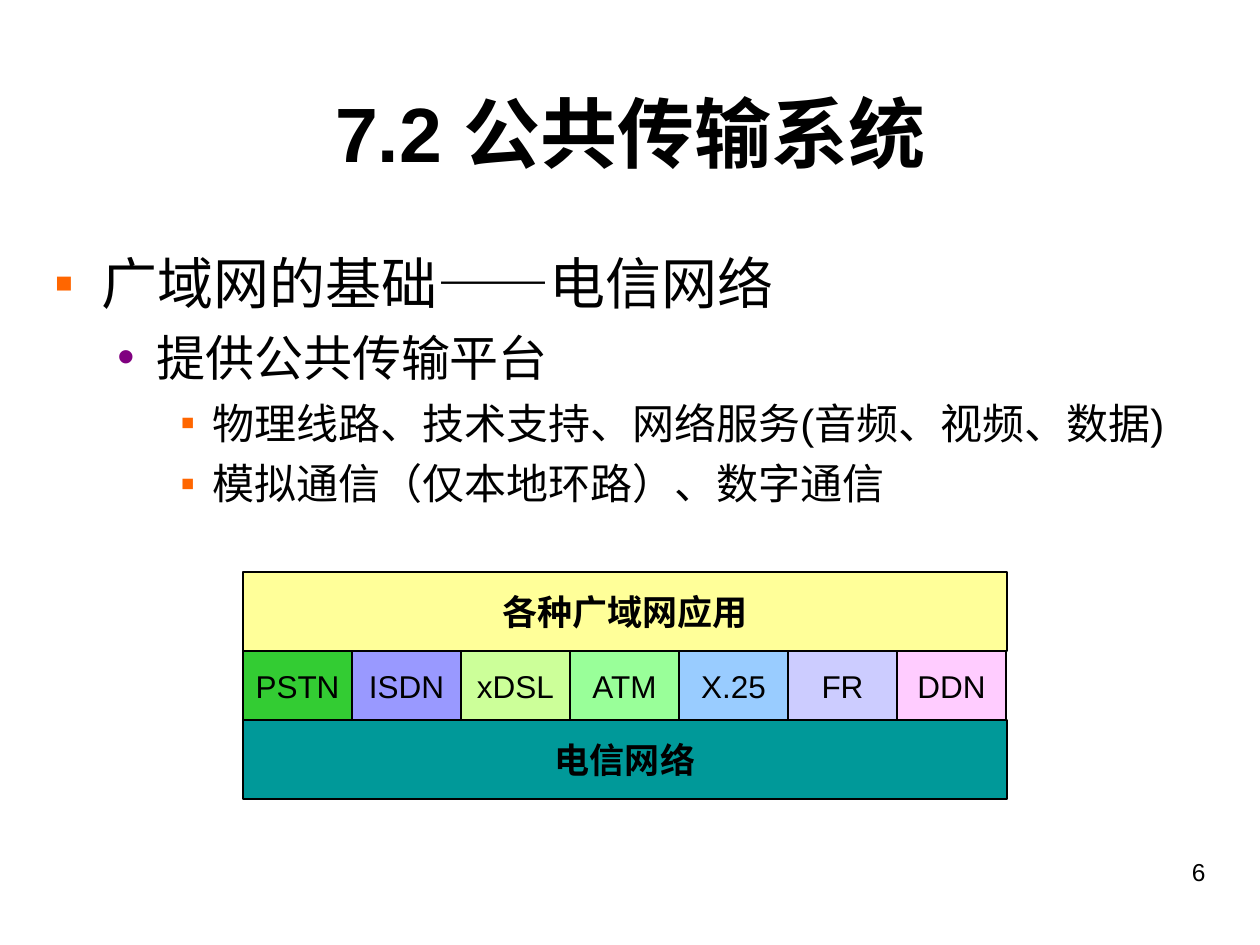
"""Build the slide on public transmission systems."""
from lxml.etree import SubElement as Sub
from pptx import Presentation
from pptx.dml.color import RGBColor
from pptx.enum.shapes import MSO_SHAPE as Shape
from pptx.enum.text import MSO_ANCHOR as Anchor, PP_ALIGN as Align
from pptx.oxml.ns import qn
from pptx.util import Pt

PX = 914400 / 126


def color(code):
    return RGBColor.from_string(code)


def write(par, text, align, **form):
    par.alignment = align
    run = par.add_run()
    run.text = text
    run.font.name = "Arial"
    run.font.color.rgb = color("000000")
    for key, value in form.items():
        setattr(run.font, key, value)


deck = Presentation()
deck.slide_width, deck.slide_height = int(1260 * PX), int(945 * PX)
slide = deck.slides.add_slide(deck.slide_layouts[6])

lines = [
    ("广域网的基础——电信网络", 0),
    ("提供公共传输平台", 1),
    ("物理线路、技术支持、网络服务(音频、视频、数据)", 2),
    ("模拟通信（仅本地环路）、数字通信", 2),
]
levels = [
    (47, 47, 8, 32, "▪", "FF6600"),
    (102, 39, 7, 28, "•", "800080"),
    (158, 32, 6, 24, "▪", "FF6600"),
]
areas = [
    (903, 851, 315, 65, Anchor.TOP),
    (42, 53, 1177, 158, Anchor.MIDDLE),
    (42, 242, 1177, 638, Anchor.TOP),
]
frames = []
for *area, anchor in areas:
    frame = slide.shapes.add_textbox(*[int(n * PX) for n in area]).text_frame
    frame.word_wrap = True
    frame.vertical_anchor = anchor
    frames.append(frame)
number, title, body = frames

write(number.paragraphs[0], "6", Align.RIGHT, size=Pt(14))
write(title.paragraphs[0], "7.2 公共传输系统", Align.CENTER, size=Pt(44), bold=True)

for row, (text, level) in enumerate(lines):
    margin, hang, before, size, mark, tint = levels[level]
    par = body.add_paragraph() if row else body.paragraphs[0]
    par.level = level
    props = par._p.get_or_add_pPr()
    props.set("marL", str(int(margin * PX)))
    props.set("indent", str(int(-hang * PX)))
    Sub(Sub(props, qn("a:buClr")), qn("a:srgbClr")).set("val", tint)
    Sub(props, qn("a:buFont")).set("typeface", "Arial")
    Sub(props, qn("a:buChar")).set("char", mark)
    if row:
        par.space_before = Pt(before)
    write(par, text, Align.LEFT, size=Pt(size))

left, cell = 243, 109
tiles = [
    ("PSTN", "33CC33"), ("ISDN", "9999FF"), ("xDSL", "CCFF99"), ("ATM", "99FF99"),
    ("X.25", "99CCFF"), ("FR", "CCCCFF"), ("DDN", "FFCCFF"),
]
wide = cell * len(tiles) + 1
boxes = [("电信网络", "009999", left, 720, wide, 79, 20, True)]
for col, (text, fill) in enumerate(tiles):
    boxes.append((text, fill, left + col * cell, 651, cell, 69, 18, False))
boxes.append(("各种广域网应用", "FFFF99", left, 572, wide, 79, 20, True))

stack = slide.shapes.add_group_shape()
for text, fill, x, y, w, h, size, bold in boxes:
    box = stack.shapes.add_shape(Shape.RECTANGLE, *[int(n * PX) for n in (x, y, w, h)])
    box.shadow.inherit = False
    box.fill.solid()
    box.fill.fore_color.rgb = color(fill)
    box.line.color.rgb = color("000000")
    box.line.width = Pt(0.75)
    frame = box.text_frame
    frame.word_wrap = False
    frame.vertical_anchor = Anchor.MIDDLE
    write(frame.paragraphs[0], text, Align.CENTER, size=Pt(size), bold=bold)

deck.save("out.pptx")
